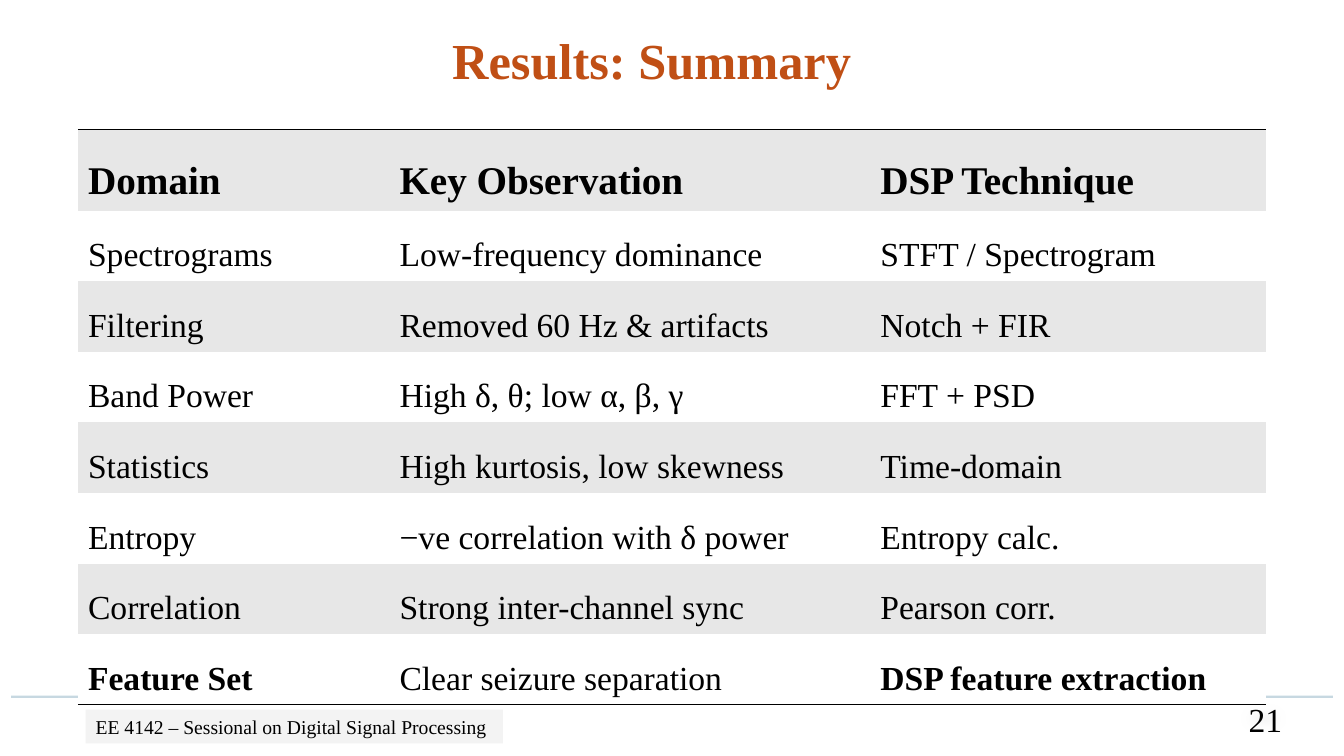
import pptx
import pptx.dml.color
import pptx.enum.shapes
import pptx.enum.text
import pptx.oxml
import pptx.oxml.ns
import pptx.util

Pt = pptx.util.Pt
ALIGN = pptx.enum.text.PP_ALIGN
ANCHOR = pptx.enum.text.MSO_ANCHOR
FONT = "Times New Roman"
BLACK = "000000"
NAMESPACE = pptx.oxml.ns.nsdecls("a")
NO_STYLE = "{2D5ABB26-0587-4C30-8999-92F81FD0307C}"

COLUMN_WIDTHS = [222.5, 343.5, 283]
HEADER_HEIGHT = 57.9
ROW_HEIGHT = 50.4
ROWS = [
    ("Domain", "Key Observation", "DSP Technique"),
    ("Spectrograms", "Low-frequency dominance", "STFT / Spectrogram"),
    ("Filtering", "Removed 60 Hz & artifacts", "Notch + FIR"),
    ("Band Power", "High δ, θ; low α, β, γ", "FFT + PSD"),
    ("Statistics", "High kurtosis, low skewness", "Time-domain"),
    ("Entropy", "−ve correlation with δ power", "Entropy calc."),
    ("Correlation", "Strong inter-channel sync", "Pearson corr."),
    ("Feature Set", "Clear seizure separation", "DSP feature extraction"),
]
BOLD_TEXTS = {*ROWS[0], "Feature Set", "DSP feature extraction"}


def color(value):
    return pptx.dml.color.RGBColor.from_string(value)


def add_run(paragraph, text, size, bold=False, text_color=BLACK):
    run = paragraph.add_run()
    run.text = text
    run.font.name = FONT
    run.font.size = Pt(size)
    run.font.bold = bold
    run.font.color.rgb = color(text_color)


def set_opacity(shape, percent):
    for color_element in shape._element.spPr.iter(pptx.oxml.ns.qn("a:srgbClr")):
        color_element.append(pptx.oxml.parse_xml(
            f'<a:alpha {NAMESPACE} val="{percent * 1000}"/>'))


def set_effects(shape, content=""):
    shape._element.spPr.append(pptx.oxml.parse_xml(
        f"<a:effectLst {NAMESPACE}>{content}</a:effectLst>"))


def add_rule(slide, left, right, top):
    rule = slide.shapes.add_connector(
        pptx.enum.shapes.MSO_CONNECTOR.STRAIGHT, Pt(left), Pt(top), Pt(right), Pt(top))
    rule.line.color.rgb = color("156082")
    rule.line.width = Pt(1.5)
    set_opacity(rule, 23)
    set_effects(rule)


def add_label(slide, box, fill, text, size, alignment, anchor):
    label = slide.shapes.add_shape(
        pptx.enum.shapes.MSO_SHAPE.RECTANGLE, *[Pt(length) for length in box])
    label.fill.solid()
    label.fill.fore_color.rgb = color(fill)
    label.line.fill.background()
    frame = label.text_frame
    frame.word_wrap = True
    frame.vertical_anchor = anchor
    frame.paragraphs[0].alignment = alignment
    add_run(frame.paragraphs[0], text, size)
    return label


def add_title(slide, text):
    title = slide.shapes.add_textbox(Pt(8), Pt(17.3), Pt(915), Pt(51))
    frame = title.text_frame
    frame.word_wrap = True
    frame.auto_size = pptx.enum.text.MSO_AUTO_SIZE.SHAPE_TO_FIT_TEXT
    frame.paragraphs[0].alignment = ALIGN.CENTER
    add_run(frame.paragraphs[0], text, 36, True, "C04F15")


def add_border(cell, side):
    cell._tc.get_or_add_tcPr().insert(0, pptx.oxml.parse_xml(
        f'<a:{side} {NAMESPACE} w="{Pt(1)}"><a:solidFill>'
        f'<a:srgbClr val="{BLACK}"/></a:solidFill></a:{side}>'))


def fill_cell(cell, text, row_index):
    cell.fill.solid()
    cell.fill.fore_color.rgb = color("FFFFFF" if row_index % 2 else "E7E7E7")
    cell.vertical_anchor = ANCHOR.MIDDLE
    paragraph = cell.text_frame.paragraphs[0]
    paragraph.line_spacing = 1.5
    add_run(paragraph, text, 24 if row_index else 28, text in BOLD_TEXTS)
    if row_index == 0:
        add_border(cell, "lnT")
    elif row_index == len(ROWS) - 1:
        add_border(cell, "lnB")


def add_summary_table(slide):
    heights = [HEADER_HEIGHT] + [ROW_HEIGHT] * (len(ROWS) - 1)
    frame = slide.shapes.add_table(
        len(ROWS), len(COLUMN_WIDTHS), Pt(55.7), Pt(92.6),
        Pt(sum(COLUMN_WIDTHS)), Pt(sum(heights)))
    table = frame.table
    table.first_row = False
    table.horz_banding = False
    table._tbl.tblPr.find(pptx.oxml.ns.qn("a:tableStyleId")).text = NO_STYLE
    for column, width in zip(table.columns, COLUMN_WIDTHS):
        column.width = Pt(width)
    for row_index, (row, height, texts) in enumerate(zip(table.rows, heights, ROWS)):
        row.height = Pt(height)
        for cell, text in zip(row.cells, texts):
            fill_cell(cell, text, row_index)


def main():
    presentation = pptx.Presentation()
    presentation.slide_width = Pt(960)
    presentation.slide_height = Pt(540)
    slide = presentation.slides.add_slide(presentation.slide_layouts[6])
    add_rule(slide, 8, 952, 497.7)
    number = add_label(slide, (882, 499, 41, 28.8), "F2F2F2", "21", 24,
                       ALIGN.RIGHT, ANCHOR.MIDDLE)
    set_effects(number, f'<a:softEdge rad="{Pt(9)}"/>')
    add_title(slide, "Results: Summary")
    footer = add_label(slide, (61.2, 506.9, 298, 24.2), "D1D1D1",
                       "EE 4142 – Sessional on Digital Signal Processing", 14,
                       ALIGN.LEFT, ANCHOR.TOP)
    footer.shadow.inherit = False
    set_opacity(footer, 25)
    add_summary_table(slide)
    presentation.save("out.pptx")


if __name__ == "__main__":
    main()
